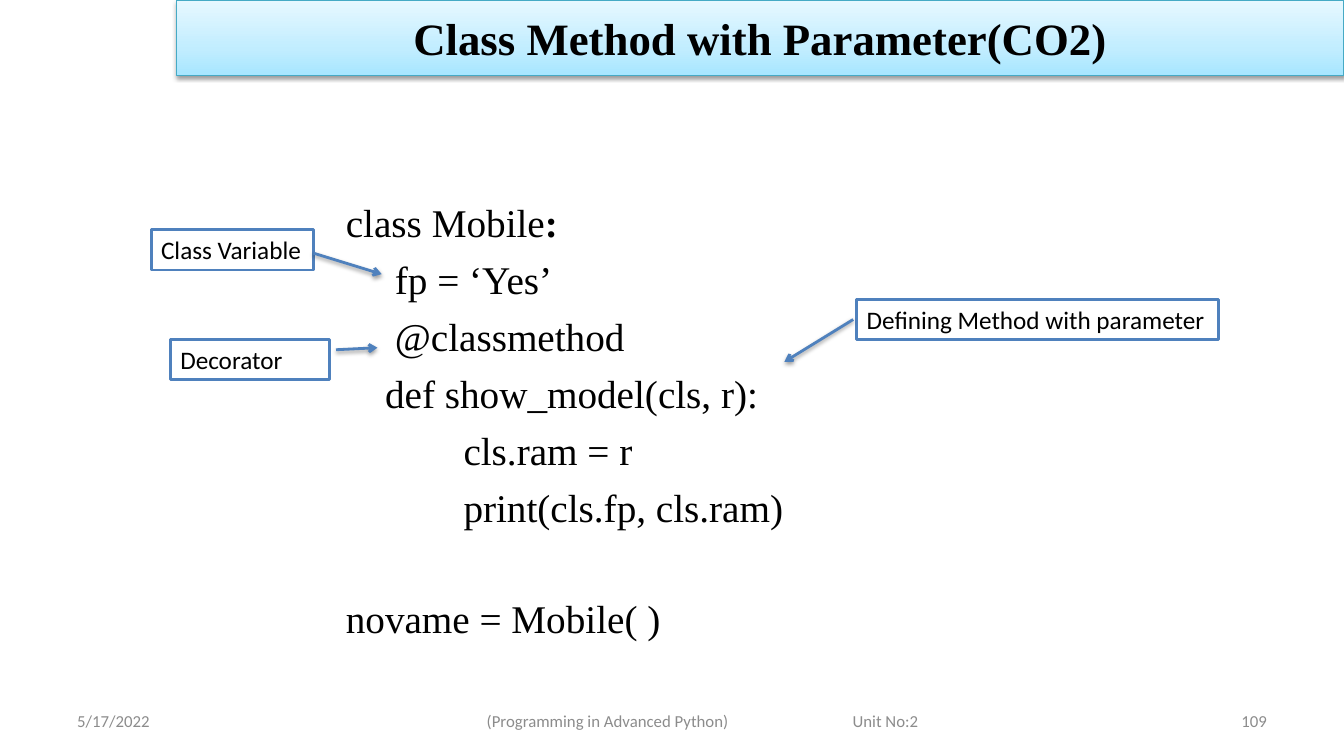
import pptx
import pptx.util
import pptx.dml.color
import pptx.enum.shapes
import pptx.enum.text
import pptx.oxml
import pptx.oxml.ns

Pt = pptx.util.Pt
Align = pptx.enum.text.PP_ALIGN
Anchor = pptx.enum.text.MSO_ANCHOR
Shape = pptx.enum.shapes.MSO_SHAPE
qn = pptx.oxml.ns.qn
NS = pptx.oxml.ns.nsdecls("a")

WIDE, HIGH = pptx.util.Inches(13.33), pptx.util.Inches(7.5)
COLORS = {
    "ink": "000000", "paper": "FFFFFF", "blue": "4F81BD",
    "teal": "46AAC5", "gray": "8C8C8C",
}
FADE = [(0, "A7E6FF"), (35, "C1EDFF"), (100, "E7F8FF")]
SERIF, SANS = "Times New Roman", "Calibri"

# Code lines: indent in spaces, text
CODE = [
    (0, "class Mobile:"),
    (5, "fp = ‘Yes’"),
    (5, "@classmethod"),
    (4, "def show_model(cls, r):"),
    (12, "cls.ram = r"),
    (12, "print(cls.fp, cls.ram)"),
    (0, "novame = Mobile( )"),
]

# Notes: box in percent of the slide, text, arrow ends as shares of the box
NOTES = [
    ((63.75, 39.6, 26.93, 5.33), "Defining Method with parameter",
     (-0.01, 0.5), (-0.2, 1.55)),
    ((11.25, 30.4, 12.08, 5.33), "Class Variable", (1, 0.58), (1.42, 1.1)),
    ((12.68, 44.93, 11.85, 5.33), "Decorator", (1.04, 0.25), (1.3, 0.2)),
]

# Footer: left and width in percent, text, alignment
FOOTER = [
    (5, 23.33, "5/17/2022", Align.LEFT),
    (35.48, 24, "(Programming in Advanced Python)", Align.LEFT),
    (62.7, 9, "Unit No:2", Align.LEFT),
    (71.67, 23.33, "109", Align.RIGHT),
]


def rgb(name):
    return pptx.dml.color.RGBColor.from_string(COLORS[name])


def scale(box):
    """Turn percent of the slide into lengths."""
    return [int(part * side / 100)
            for part, side in zip(box, (WIDE, HIGH, WIDE, HIGH))]


def style(run, size, face, color="ink", bold=False):
    run.font.size = Pt(size)
    run.font.name = face
    run.font.bold = bold
    run.font.color.rgb = rgb(color)


def shade(item):
    """Add a soft shadow below a shape or line."""
    item._element.spPr.append(pptx.oxml.parse_xml(
        f'<a:effectLst {NS}><a:outerShdw blurRad="{Pt(3.1)}" '
        f'dist="{Pt(1.6)}" dir="5400000" rotWithShape="0">'
        '<a:srgbClr val="000000"><a:alpha val="38000"/></a:srgbClr>'
        '</a:outerShdw></a:effectLst>'))


def block(slide, box, line, weight):
    shape = slide.shapes.add_shape(Shape.RECTANGLE, *scale(box))
    shape.line.color.rgb = rgb(line)
    shape.line.width = Pt(weight)
    return shape


def title(slide, box, text):
    bar = block(slide, box, "teal", 0.75)
    bar.fill.gradient()
    bar.fill.gradient_angle = 90
    stops = bar._element.spPr.find(".//" + qn("a:gsLst"))
    for stop in list(stops):
        stops.remove(stop)
    for place, tint in FADE:
        stops.append(pptx.oxml.parse_xml(
            f'<a:gs {NS} pos="{place * 1000}"><a:srgbClr val="{tint}"/></a:gs>'))
    shade(bar)
    frame = bar.text_frame
    frame.text = text
    frame.vertical_anchor = Anchor.MIDDLE
    para = frame.paragraphs[0]
    para.alignment = Align.CENTER
    style(para.runs[0], 32, SERIF, bold=True)


def code(slide, box):
    frame = slide.shapes.add_textbox(*scale(box)).text_frame
    frame.word_wrap = True
    for row, (indent, text) in enumerate(CODE):
        para = frame.paragraphs[0] if row == 0 else frame.add_paragraph()
        para.text = text
        # The last line stands one line apart from the class body
        last = row == len(CODE) - 1
        para.space_before = Pt(46 if last else 7 if row else 0)
        para._p.get_or_add_pPr().set("marL", str(Pt(7 * indent)))
        style(para.runs[0], 28, SERIF)
    # Bold colon after the class name
    head = frame.paragraphs[0]
    head.runs[0].text = CODE[0][1][:-1]
    colon = head.add_run()
    colon.text = ":"
    style(colon, 28, SERIF, bold=True)


def note(slide, box, text, start, end):
    label = block(slide, box, "blue", 2)
    label.shadow.inherit = False
    label.fill.solid()
    label.fill.fore_color.rgb = rgb("paper")
    frame = label.text_frame
    frame.text = text
    frame.word_wrap = False
    frame.vertical_anchor = Anchor.TOP
    frame.paragraphs[0].alignment = Align.LEFT
    style(frame.paragraphs[0].runs[0], 18, SANS)
    # Arrow from the label to the code
    left, top, width, height = scale(box)
    ends = [int(at) for x, y in (start, end)
            for at in (left + x * width, top + y * height)]
    arrow = slide.shapes.add_connector(
        pptx.enum.shapes.MSO_CONNECTOR.STRAIGHT, *ends)
    arrow.line.color.rgb = rgb("blue")
    arrow.line.width = Pt(2)
    arrow.line._get_or_add_ln().append(
        pptx.oxml.parse_xml(f'<a:tailEnd {NS} type="arrow"/>'))
    shade(arrow)


def footer(slide, top, height):
    for left, width, text, align in FOOTER:
        area = scale((left, top, width, height))
        frame = slide.shapes.add_textbox(*area).text_frame
        frame.text = text
        frame.word_wrap = True
        frame.vertical_anchor = Anchor.MIDDLE
        frame.paragraphs[0].alignment = align
        style(frame.paragraphs[0].runs[0], 12, SANS, "gray")


def main():
    deck = pptx.Presentation()
    deck.slide_width, deck.slide_height = WIDE, HIGH
    slide = deck.slides.add_slide(deck.slide_layouts[6])
    code(slide, (25, 25.6, 38.78, 53.33))
    for item in NOTES:
        note(slide, *item)
    footer(slide, 92.67, 5.33)
    title(slide, (13.13, 0, 86.87, 10), "Class Method with Parameter(CO2)")
    deck.save("out.pptx")


if __name__ == "__main__":
    main()
